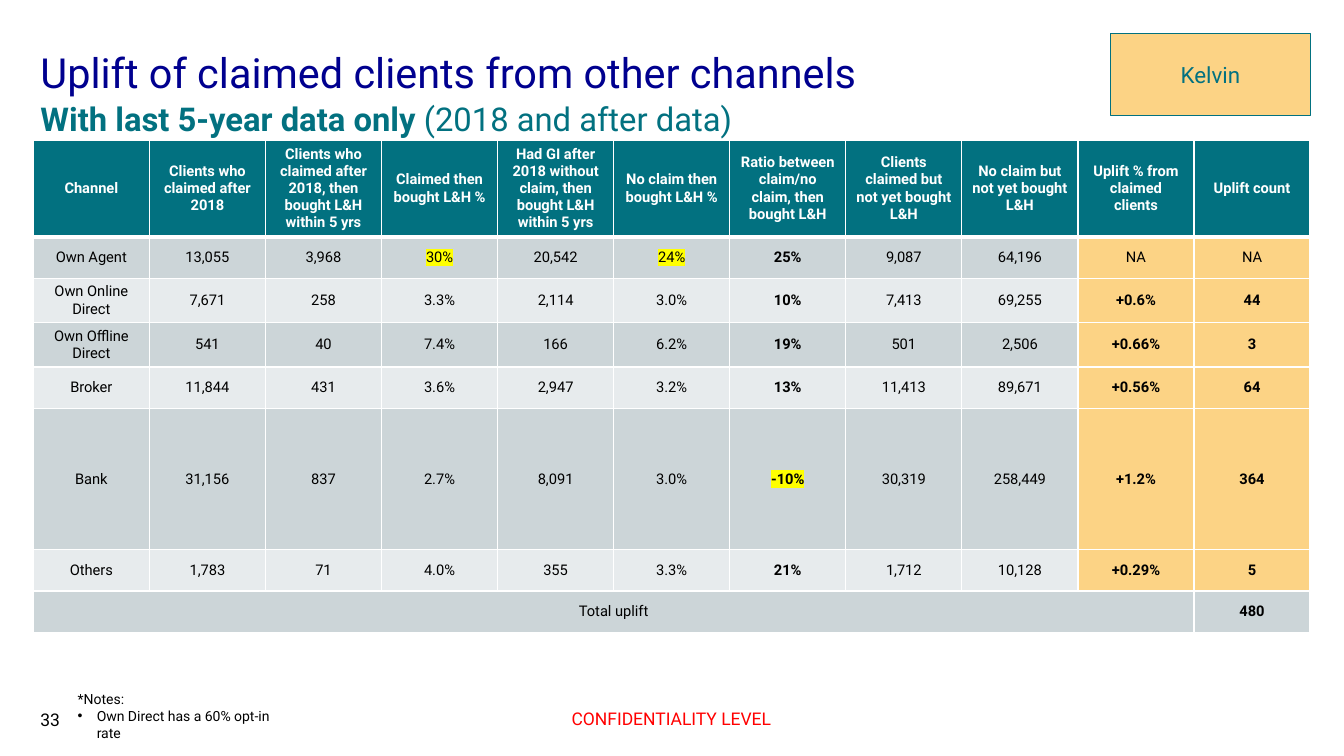
from lxml import etree
from pptx import Presentation
from pptx.dml.color import RGBColor
from pptx.enum.shapes import MSO_SHAPE
from pptx.enum.text import MSO_ANCHOR, MSO_AUTO_SIZE, PP_ALIGN
from pptx.oxml.ns import qn
from pptx.util import Cm, Pt

TOP, MIDDLE, BOTTOM = MSO_ANCHOR.TOP, MSO_ANCHOR.MIDDLE, MSO_ANCHOR.BOTTOM
LEFT, CENTER = PP_ALIGN.LEFT, PP_ALIGN.CENTER
RECTANGLE, NO_AUTOFIT = MSO_SHAPE.RECTANGLE, MSO_AUTO_SIZE.NONE
FONT = "Roboto"
COLORS = {
    "navy": "00008F", "teal": "027180", "orange": "FCD385", "white": "FFFFFF",
    "black": "000000", "red": "FF0000", "yellow": "FFFF00",
    "dark band": "CCD5D8", "light band": "E7EBED",
}


def add_run(paragraph, text, size, color, bold=False, align=LEFT):
    paragraph.alignment = align
    run = paragraph.add_run()
    run.text = text
    run.font.name = FONT
    run.font.size = Pt(size)
    run.font.bold = bold
    run.font.color.rgb = RGBColor.from_string(COLORS[color])
    return run


def set_frame(shape, anchor):
    frame = shape.text_frame
    frame.word_wrap = True
    frame.auto_size = NO_AUTOFIT
    frame.vertical_anchor = anchor
    frame.margin_left = frame.margin_right = frame.margin_top = frame.margin_bottom = 0
    return frame.paragraphs[0]


prs = Presentation()
prs.slide_width, prs.slide_height = Cm(33.87), Cm(19.05)
slide = prs.slides.add_slide(prs.slide_layouts[5])

# Title and subtitle
title = slide.shapes.title
title.left, title.top, title.width, title.height = Cm(1.02), Cm(1.19), Cm(31.83), Cm(1.24)
add_run(set_frame(title, TOP), "Uplift of claimed clients from other channels", 29.6, "navy")

subtitle = slide.shapes.add_textbox(Cm(1.02), Cm(2.49), Cm(31.83), Cm(0.94))
subtitle_line = set_frame(subtitle, TOP)
add_run(subtitle_line, "With last 5-year data only ", 23.4, "teal", bold=True)
add_run(subtitle_line, "(2018 and after data)", 23.4, "teal")

# Uplift table
RATIO, UPLIFT_PCT, UPLIFT_COUNT = 6, 9, 10
HIGHLIGHTED = {(1, 3), (1, 5), (5, RATIO)}
rows = [
    ["Channel", "Clients who claimed after 2018",
     "Clients who claimed after 2018, then bought L&H within 5 yrs",
     "Claimed then bought L&H %",
     "Had GI after 2018 without claim, then bought L&H within 5 yrs",
     "No claim then bought L&H %", "Ratio between claim/no claim, then bought L&H",
     "Clients claimed but not yet bought L&H", "No claim but not yet bought L&H",
     "Uplift % from claimed clients", "Uplift count"],
    ["Own Agent", "13,055", "3,968", "30%", "20,542", "24%", "25%", "9,087", "64,196", "NA", "NA"],
    ["Own Online Direct", "7,671", "258", "3.3%", "2,114", "3.0%", "10%", "7,413", "69,255",
     "+0.6%", "44"],
    ["Own Offline Direct", "541", "40", "7.4%", "166", "6.2%", "19%", "501", "2,506",
     "+0.66%", "3"],
    ["Broker", "11,844", "431", "3.6%", "2,947", "3.2%", "13%", "11,413", "89,671",
     "+0.56%", "64"],
    ["Bank", "31,156", "837", "2.7%", "8,091", "3.0%", "-10%", "30,319", "258,449",
     "+1.2%", "364"],
    ["Others", "1,783", "71", "4.0%", "355", "3.3%", "21%", "1,712", "10,128", "+0.29%", "5"],
    ["Total uplift"] + [""] * 9 + ["480"],
]
row_heights = [2.44, 1.04, 1.12, 1.12, 1.04, 3.56, 1.04, 1.04]
total_row = len(rows) - 1

uplift = slide.shapes.add_table(len(rows), len(rows[0]), Cm(0.84), Cm(3.53),
                                Cm(32.18), Cm(sum(row_heights))).table
for column in uplift.columns:
    column.width = Cm(32.18 / len(rows[0]))
for table_row, height in zip(uplift.rows, row_heights):
    table_row.height = Cm(height)
uplift.cell(total_row, 0).merge(uplift.cell(total_row, UPLIFT_PCT))

for r, values in enumerate(rows):
    for c, value in enumerate(values):
        cell = uplift.cell(r, c)
        cell.vertical_anchor = MIDDLE

        # White borders, heavier under the header
        widths = {"L": 1, "R": 1, "T": 3 if r == 1 else 1, "B": 3 if r == 0 else 1}
        for side, points in widths.items():
            border = etree.SubElement(cell._tc.get_or_add_tcPr(), qn(f"a:ln{side}"),
                                      w=str(Pt(points)))
            border_fill = etree.SubElement(border, qn("a:solidFill"))
            etree.SubElement(border_fill, qn("a:srgbClr"), val=COLORS["white"])

        if r == 0:
            fill = "teal"
        elif c >= UPLIFT_PCT and r < total_row:
            fill = "orange"
        else:
            fill = "dark band" if r % 2 else "light band"
        cell.fill.solid()
        cell.fill.fore_color.rgb = RGBColor.from_string(COLORS[fill])

        if value:
            bold = r == 0 or c == RATIO or (c >= UPLIFT_PCT and value != "NA")
            run = add_run(cell.text_frame.paragraphs[0], value, 10.5,
                          "white" if r == 0 else "black", bold, CENTER)
            if (r, c) in HIGHLIGHTED:
                highlight = etree.Element(qn("a:highlight"))
                etree.SubElement(highlight, qn("a:srgbClr"), val=COLORS["yellow"])
                run._r.rPr.find(qn("a:latin")).addprevious(highlight)

# Footer: page number and confidentiality
page_number = slide.shapes.add_textbox(Cm(1.02), Cm(17.81), Cm(0.94), Cm(0.64))
add_run(set_frame(page_number, MIDDLE), "33", 12.5, "black")

confidentiality = slide.shapes.add_textbox(Cm(11.56), Cm(17.6), Cm(10.72), Cm(1.02))
add_run(set_frame(confidentiality, MIDDLE), "CONFIDENTIALITY LEVEL", 12.5, "red", align=CENTER)

# Notes
notes = slide.shapes.add_textbox(Cm(1.96), Cm(17.4), Cm(5.31), Cm(1.27))
add_run(set_frame(notes, BOTTOM), "*Notes:", 10, "black")
opt_in = notes.text_frame.add_paragraph()
opt_in_pPr = opt_in._p.get_or_add_pPr()
opt_in_pPr.set("marL", str(Cm(0.48)))
opt_in_pPr.set("indent", str(-Cm(0.48)))
etree.SubElement(opt_in_pPr, qn("a:buFont"), typeface="Arial")
etree.SubElement(opt_in_pPr, qn("a:buChar"), char="•")
add_run(opt_in, "Own Direct has a 60% opt-in rate", 10, "black")

# Owner tag
owner = slide.shapes.add_shape(RECTANGLE, Cm(27.99), Cm(0.84), Cm(5.03), Cm(2.08))
owner.shadow.inherit = False
owner.fill.solid()
owner.fill.fore_color.rgb = RGBColor.from_string(COLORS["orange"])
owner.line.color.rgb = RGBColor.from_string(COLORS["teal"])
owner.line.width = Pt(0.75)
add_run(set_frame(owner, MIDDLE), "Kelvin", 16, "teal", align=CENTER)

prs.save("out.pptx")
